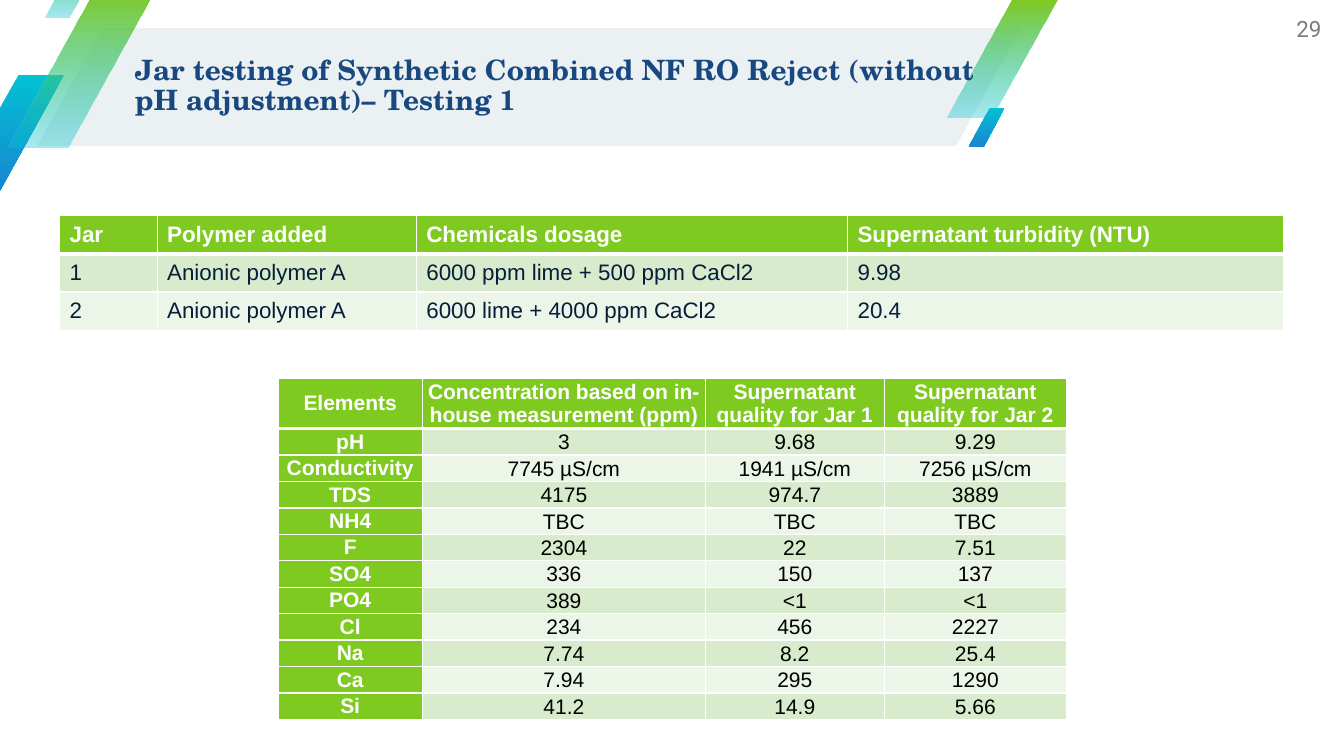
from lxml.etree import SubElement
from pptx import Presentation
from pptx.dml.color import RGBColor
from pptx.enum.shapes import MSO_SHAPE
from pptx.enum.text import MSO_ANCHOR, PP_ALIGN
from pptx.oxml.ns import qn
from pptx.util import Cm, Pt

WHITE = RGBColor(0xFF, 0xFF, 0xFF)
BLACK = RGBColor(0x00, 0x00, 0x00)
GREEN = RGBColor(0x7F, 0xCA, 0x20)
TEAL = RGBColor(0x02, 0xC1, 0xD3)
BLUE = RGBColor(0x19, 0x85, 0xD2)
PALE_GREY = RGBColor(0xEB, 0xF0, 0xF3)
NAVY = RGBColor(0x18, 0x48, 0x80)
INK = RGBColor(0x06, 0x1E, 0x3A)
GREY = RGBColor(0x75, 0x7C, 0x83)
BANDS = (RGBColor(0xD8, 0xEC, 0xCD), RGBColor(0xEC, 0xF6, 0xE8))

TITLE = "Jar testing of Synthetic Combined NF RO Reject (without pH adjustment)– Testing 1"
PAGE = "29"
JARS = [
    ("Jar", "Polymer added", "Chemicals dosage", "Supernatant turbidity (NTU)"),
    ("1", "Anionic polymer A", "6000 ppm lime + 500 ppm CaCl2", "9.98"),
    ("2", "Anionic polymer A", "6000 lime + 4000 ppm CaCl2", "20.4"),
]
QUALITY = [
    ("Elements", "Concentration based on in-house measurement (ppm)",
     "Supernatant quality for Jar 1", "Supernatant quality for Jar 2"),
    ("pH", "3", "9.68", "9.29"),
    ("Conductivity", "7745 µS/cm", "1941 µS/cm", "7256 µS/cm"),
    ("TDS", "4175", "974.7", "3889"),
    ("NH4", "TBC", "TBC", "TBC"),
    ("F", "2304", "22", "7.51"),
    ("SO4", "336", "150", "137"),
    ("PO4", "389", "<1", "<1"),
    ("Cl", "234", "456", "2227"),
    ("Na", "7.74", "8.2", "25.4"),
    ("Ca", "7.94", "295", "1290"),
    ("Si", "41.2", "14.9", "5.66"),
]

# Slanted bars, back to front: left, top, width, height in cm, slant, colours, end opacity in %
DEEP = ((TEAL, BLUE), 100)
FADING = ((GREEN, TEAL), 34)
BARS = [
    (0.94, 0.71, 24.79, 2.97, 0.55, (PALE_GREY,), 100),
    (-1.17, 1.88, 2.79, 2.97, 0.59, *DEEP),
    (23.85, 0, 2.79, 2.97, 0.59, *FADING),
    (0.2, -0.25, 3.71, 3.96, 0.59, *FADING),
    (1.12, -1.22, 1.55, 1.65, 0.59, *FADING),
    (24.41, 2.72, 0.91, 0.99, 0.59, *DEEP),
]


def write(frame, text, size, color, font="Arial", bold=False, align=PP_ALIGN.LEFT, spacing=1.0):
    frame.word_wrap = True
    frame.vertical_anchor = MSO_ANCHOR.MIDDLE
    paragraph = frame.paragraphs[0]
    paragraph.alignment = align
    paragraph.line_spacing = spacing
    run = paragraph.add_run()
    run.text = text
    run.font.name, run.font.size, run.font.bold = font, Pt(size), bold
    run.font.color.rgb = color


def set_margins(holder, side=0, top=0):
    holder.margin_left = holder.margin_right = Cm(side)
    holder.margin_top, holder.margin_bottom = Cm(top), 0


def add_bar(slide, left, top, width, height, slant, colors, opacity):
    bar = slide.shapes.add_shape(MSO_SHAPE.PARALLELOGRAM, Cm(left), Cm(top), Cm(width), Cm(height))
    bar.adjustments[0] = slant
    bar.shadow.inherit = False
    bar.line.fill.background()
    if len(colors) == 1:
        bar.fill.solid()
        bar.fill.fore_color.rgb = colors[0]
        return
    bar.fill.gradient()
    bar.fill.gradient_angle = 270
    for stop, color in zip(bar.fill.gradient_stops, colors):
        stop.color.rgb = color
    if opacity < 100:
        end_color = bar.fill._xPr.findall(".//" + qn("a:srgbClr"))[-1]
        SubElement(end_color, qn("a:alpha"), val=str(opacity * 1000))


def set_borders(cell, row):
    """White rules all round, with a thicker one under the header row."""
    thick = {0: "B", 1: "T"}.get(row)
    for side in "LRTB":
        width = Pt(3 if side == thick else 1)
        line = SubElement(cell._tc.get_or_add_tcPr(), qn("a:ln" + side), w=str(int(width)))
        SubElement(SubElement(line, qn("a:solidFill")), qn("a:srgbClr"), val=str(WHITE))


def add_grid(slide, rows, left, top, widths, header_height, row_height, size, color,
             align=PP_ALIGN.LEFT, label_column=False, tight=False):
    heights = [header_height] + [row_height] * (len(rows) - 1)
    grid = slide.shapes.add_table(len(rows), len(widths), Cm(left), Cm(top),
                                  Cm(sum(widths)), Cm(sum(heights))).table
    grid.first_col = label_column
    for column, width in zip(grid.columns, widths):
        column.width = Cm(width)
    for r, (texts, height) in enumerate(zip(rows, heights)):
        grid.rows[r].height = Cm(height)
        for c, text in enumerate(texts):
            cell = grid.cell(r, c)
            heading = r == 0 or (label_column and c == 0)
            set_borders(cell, r)
            cell.fill.solid()
            cell.fill.fore_color.rgb = GREEN if heading else BANDS[(r - 1) % 2]
            cell.vertical_anchor = MSO_ANCHOR.MIDDLE
            if tight:
                set_margins(cell, side=0.08 if heading else 0.03, top=0 if heading else 0.03)
            write(cell.text_frame, text, size=size, color=WHITE if heading else color,
                  bold=heading, align=align)


def main():
    deck = Presentation()
    deck.slide_width, deck.slide_height = Cm(33.87), Cm(19.05)
    slide = deck.slides.add_slide(deck.slide_layouts[5])

    for bar in BARS:
        add_bar(slide, *bar)

    title = slide.shapes.title
    slide.shapes._spTree.append(title._element)  # bring in front of the bars
    title.left, title.top, title.width, title.height = Cm(3.4), Cm(0.66), Cm(22.33), Cm(3.02)
    set_margins(title.text_frame)
    write(title.text_frame, TITLE, size=20, color=NAVY, font="TeX Gyre Schola",
          bold=True, spacing=0.9)

    page = slide.shapes.add_textbox(Cm(31.7), 0, Cm(1.6), Cm(1.45)).text_frame
    set_margins(page)
    write(page, PAGE, size=16, color=GREY, font="Roboto", align=PP_ALIGN.RIGHT)

    add_grid(slide, QUALITY, 7.01, 9.53, (3.63, 7.14, 4.5, 4.6), 1.26, 0.65, size=15,
             color=BLACK, align=PP_ALIGN.CENTER, label_column=True, tight=True)
    add_grid(slide, JARS, 1.5, 5.44, (2.46, 6.53, 10.87, 11), 0.96, 0.96, size=16, color=INK)

    deck.save("out.pptx")


if __name__ == "__main__":
    main()
